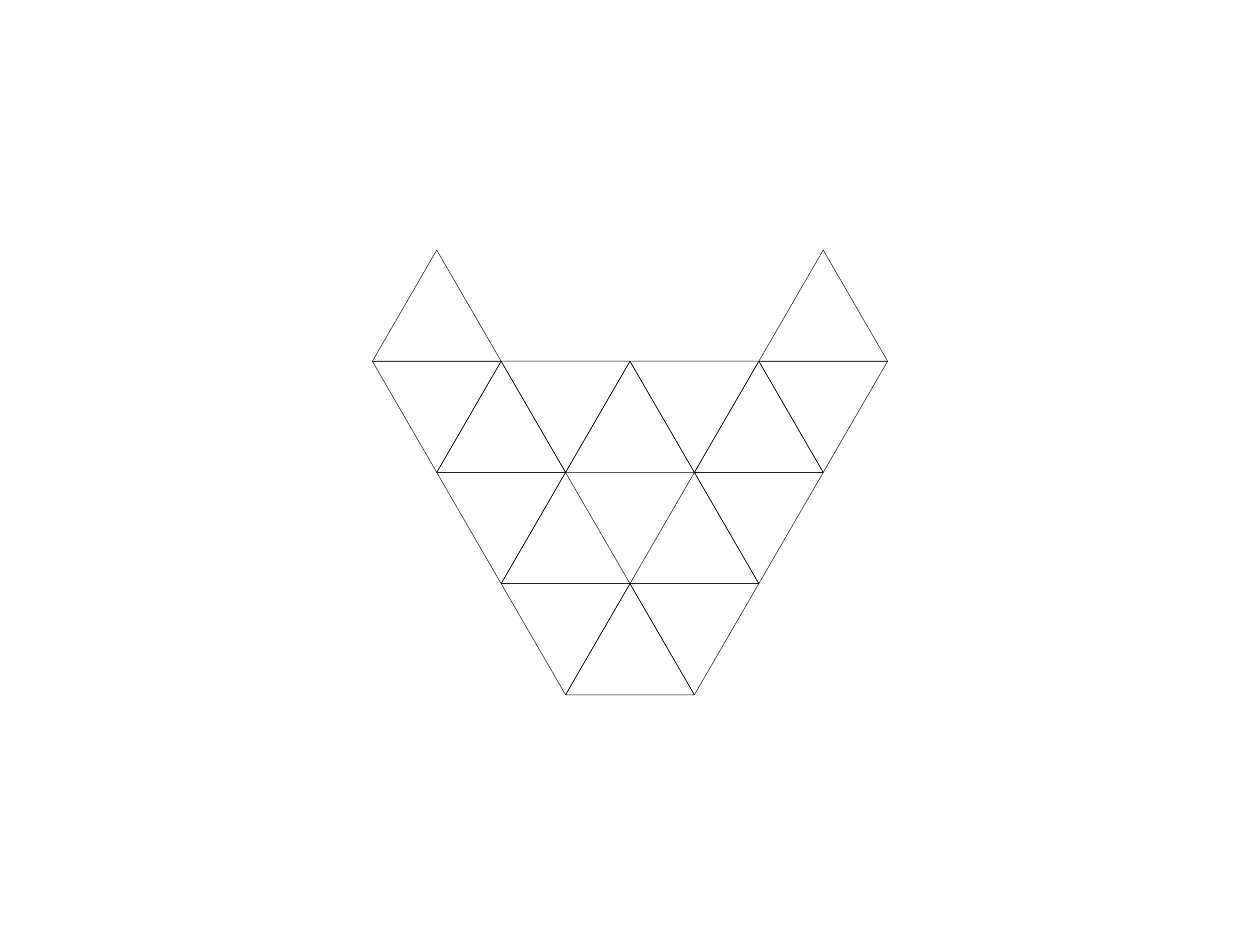
from pptx import Presentation
from pptx.dml.color import RGBColor
from pptx.enum.shapes import MSO_SHAPE
from pptx.util import Inches, Pt

BLACK = RGBColor(0, 0, 0)
SLIDE_W, SLIDE_H = 10, 7.5
GRID_W, GRID_H = 4.09, 3.53
SIDE, ROW_H = GRID_W / 4, GRID_H / 4
LEFT, TOP = (SLIDE_W - GRID_W) / 2, (SLIDE_H - GRID_H) / 2

# Each row: half-side steps of the triangles pointing up, then down
ROWS = [
    ([0, 6], []),
    ([1, 3, 5], [0, 2, 4, 6]),
    ([2, 4], [1, 5]),
    ([3], [2, 4]),
]

prs = Presentation()
prs.slide_width, prs.slide_height = Inches(SLIDE_W), Inches(SLIDE_H)
s = prs.slides.add_slide(prs.slide_layouts[6])
group = s.shapes.add_group_shape()


def add_triangle(row, step, flipped):
    """Add one outlined triangle at a grid row and half-side step."""
    sp = group.shapes.add_shape(
        MSO_SHAPE.ISOSCELES_TRIANGLE,
        Inches(LEFT + step * SIDE / 2), Inches(TOP + row * ROW_H),
        Inches(SIDE), Inches(ROW_H))
    sp.shadow.inherit = False
    sp.fill.background()
    sp.line.color.rgb = BLACK
    sp.line.width = Pt(0.25)
    if flipped:
        sp._element.spPr.xfrm.set("flipV", "1")


for row, (up_steps, down_steps) in enumerate(ROWS):
    for step in up_steps:
        add_triangle(row, step, False)
    for step in down_steps:
        add_triangle(row, step, True)

prs.save("out.pptx")
